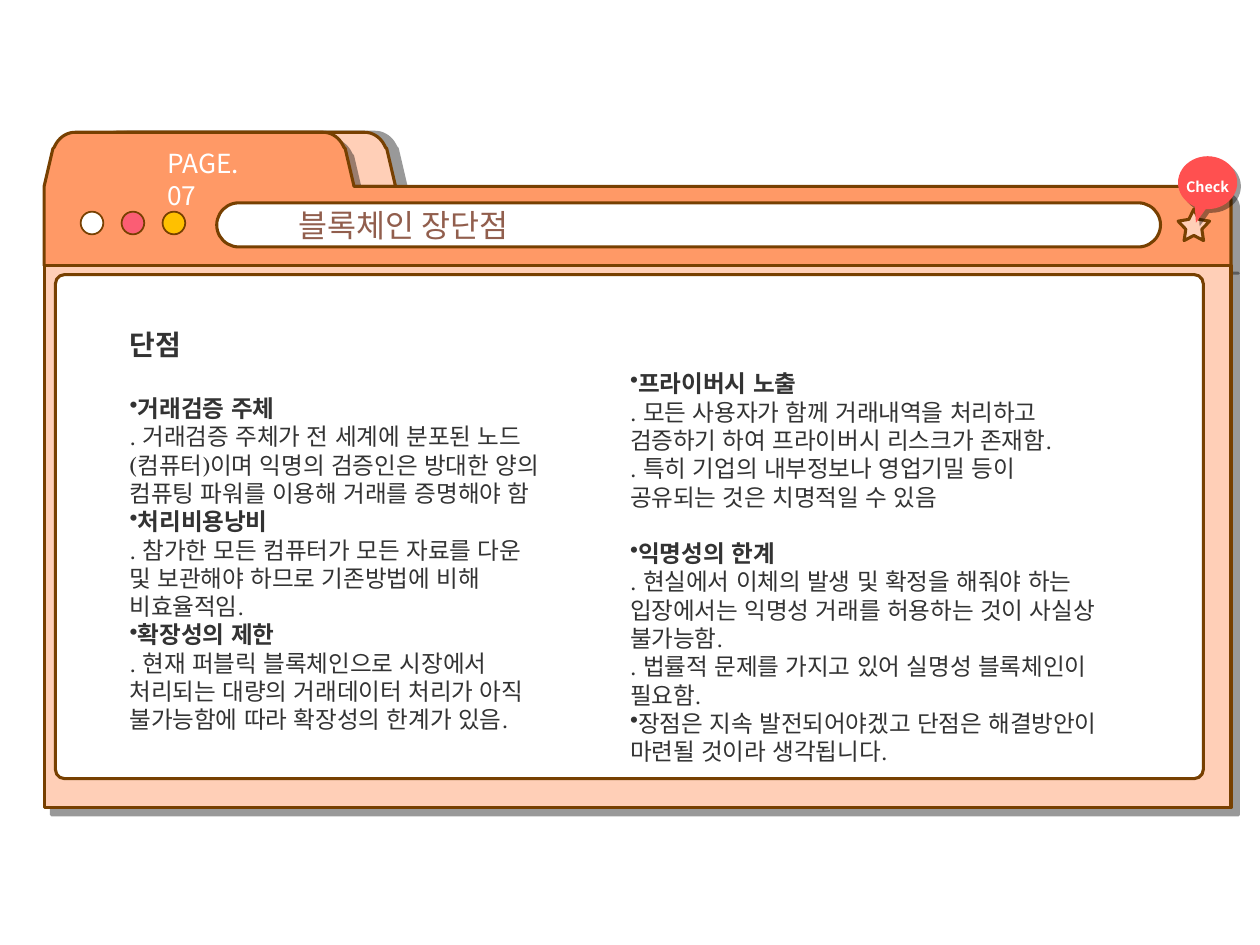
import copy
import pptx
import pptx.dml.color
import pptx.enum.shapes
import pptx.enum.text
import pptx.oxml
import pptx.oxml.ns
import pptx.util

Inches, Pt = pptx.util.Inches, pptx.util.Pt
KIND = pptx.enum.shapes.MSO_SHAPE
ANCHOR = pptx.enum.text.MSO_ANCHOR
ALIGN = pptx.enum.text.PP_ALIGN
FIT = pptx.enum.text.MSO_AUTO_SIZE
qn = pptx.oxml.ns.qn

# Content
TITLE = "블록체인 장단점"
PAGE = "PAGE. 07"
BADGE = "Check"
HEAD = "단점"
# Each point: bold lead, plain lines, space before in points
LEFT = [
    ("거래검증 주체", [". 거래검증 주체가 전 세계에 분포된 노드(컴퓨터)이며 익명의 검증인은 방대한 양의 컴퓨팅 파워를 이용해 거래를 증명해야 함"], 18.7),
    ("처리비용낭비", [". 참가한 모든 컴퓨터가 모든 자료를 다운 및 보관해야 하므로 기존방법에 비해 비효율적임."], 0),
    ("확장성의 제한", [". 현재 퍼블릭 블록체인으로 시장에서 처리되는 대량의 거래데이터 처리가 아직 불가능함에 따라 확장성의 한계가 있음."], 0),
]
RIGHT = [
    ("프라이버시 노출", [". 모든 사용자가 함께 거래내역을 처리하고 검증하기 하여 프라이버시 리스크가 존재함.",
                  ". 특히 기업의 내부정보나 영업기밀 등이 공유되는 것은 치명적일 수 있음"], 0),
    ("익명성의 한계", [". 현실에서 이체의 발생 및 확정을 해줘야 하는 입장에서는 익명성 거래를 허용하는 것이 사실상 불가능함.",
                 ". 법률적 문제를 가지고 있어 실명성 블록체인이 필요함."], 16),
    ("", ["장점은 지속 발전되어야겠고 단점은 해결방안이 마련될 것이라 생각됩니다."], 0),
]
DOTS = ["FFFFFF", "FB5D74", "FFC000"]
SANS, SERIF, LATIN = "Noto Sans CJK KR", "TeX Gyre Schola", "Karla"
BROWN, PEACH, ORANGE, WHITE, INK = "774001", "FFCFB7", "FF9966", "FFFFFF", "333333"

deck = pptx.Presentation()
deck.slide_width, deck.slide_height = Inches(10), Inches(7.5)
slide = deck.slides.add_slide(deck.slide_layouts[6])
shapes = slide.shapes


def rgb(code):
    return pptx.dml.color.RGBColor.from_string(code)


def paint(shape, fill, line=1.75, drop=None):
    """Fill and outline; drop is (distance in points, angle)."""
    shape.shadow.inherit = False
    shape.fill.solid()
    shape.fill.fore_color.rgb = rgb(fill)
    if line:
        shape.line.color.rgb = rgb(BROWN)
        shape.line.width = Pt(line)
    else:
        shape.line.fill.background()
    if drop:
        dist, turn = drop
        glow = shape._element.spPr.find(qn("a:effectLst"))
        glow.append(pptx.oxml.parse_xml(
            f'<a:outerShdw xmlns:a="{pptx.oxml.ns.nsuri("a")}" blurRad="0" '
            f'dist="{Pt(dist)}" dir="{turn * 60000}" algn="tl" rotWithShape="0">'
            '<a:srgbClr val="000000"><a:alpha val="40000"/></a:srgbClr></a:outerShdw>'))
    return shape


def add(kind, box, fill, line=1.75, adj=(), drop=None):
    shape = shapes.add_shape(kind, *map(Inches, box))
    for i, value in enumerate(adj):
        shape.adjustments[i] = value
    return paint(shape, fill, line, drop)


def style(run, size, face, color, bold=False):
    font = run.font
    font.size, font.name, font.bold = Pt(size), face, bold
    font.color.rgb = rgb(color)
    east = pptx.oxml.parse_xml(
        f'<a:ea xmlns:a="{pptx.oxml.ns.nsuri("a")}" typeface="{face}"/>')
    font._element.find(qn("a:latin")).addnext(east)


def label(shape, text, *look):
    frame = shape.text_frame
    frame.text = text
    para = frame.paragraphs[0]
    style(para.runs[0], *look)
    return frame, para


def textbox(box):
    shape = shapes.add_textbox(*map(Inches, box))
    shape.text_frame.word_wrap = True
    return shape


# Folder outlines
def curve(a, b, c, d, steps=10):
    """Points along a cubic curve, ends included."""
    out = []
    for i in range(steps + 1):
        t = i / steps
        w = ((1 - t) ** 3, 3 * t * (1 - t) ** 2, 3 * t * t * (1 - t), t ** 3)
        out.append(tuple(sum(k * p[n] for k, p in zip(w, (a, b, c, d))) for n in (0, 1)))
    return out


def tab(x):
    rise = [(0, 1.48), (0.07, 1.18)]
    rise += curve((0.08, 1.17), (0.11, 1.1), (0.17, 1.05), (0.25, 1.05))
    fall = [(2.46 - px, py) for px, py in reversed(rise)]
    return [(x + px, py) for px, py in rise + fall]


def outline(points, fill, drop):
    spots = [(Inches(x), Inches(y)) for x, y in points]
    pen = shapes.build_freeform(*spots[0])
    pen.add_line_segments(spots[1:], close=True)
    paint(pen.convert_to_shape(), fill, drop=drop)


body = curve((9.67, 1.48), (9.72, 1.48), (9.77, 1.53), (9.77, 1.59))
body += [(9.77, 2.11), (0.35, 2.11)]
outline(tab(0.68), PEACH, (6, 0))
outline(tab(0.35) + body, ORANGE, (6, 45))

# Address bar with title
bar = add(KIND.ROUNDED_RECTANGLE, (1.72, 1.61, 7.49, 0.35), WHITE, adj=[0.5])
frame, para = label(bar, TITLE, 18, SANS, "915E4D")
frame.vertical_anchor = ANCHOR.MIDDLE
para.alignment, para.level = ALIGN.LEFT, 1
props = para._p.get_or_add_pPr()
props.set("marL", str(Inches(0.5)))
props.set("indent", "0")

# Page number, star and window buttons
frame, para = label(textbox((1.23, 1.12, 0.98, 0.35)), PAGE, 15, SANS, WHITE)
add(KIND.STAR_5_POINT, (9.35, 1.66, 0.25, 0.25), PEACH, adj=[0.255])
for i, color in enumerate(DOTS):
    add(KIND.OVAL, (0.64 + 0.325 * i, 1.68, 0.18, 0.18), color, 1)

# Window body
add(KIND.RECTANGLE, (0.35, 2.11, 9.42, 4.3), PEACH, drop=(6, 45))
add(KIND.ROUNDED_RECTANGLE, (0.44, 2.18, 9.11, 4), WHITE, adj=[0.018])

# Badge
badge = add(KIND.OVAL_CALLOUT, (9.35, 1.24, 0.47, 0.42), "FF5050", 0,
            [-0.197, 0.756], (3, 45))
frame, para = label(badge, BADGE, 8.2, SANS, WHITE, True)
frame.word_wrap, frame.vertical_anchor = False, ANCHOR.MIDDLE
para.alignment, para.line_spacing = ALIGN.CENTER, 1.5


def points(frame, items, fresh):
    """Bulleted points; fresh means the first paragraph is still unused."""
    for i, (lead, lines, gap) in enumerate(items):
        para = frame.paragraphs[0] if fresh and i == 0 else frame.add_paragraph()
        para.text = "\v".join(([lead] if lead else []) + lines)
        if gap:
            para.space_before = Pt(gap)
        props = para._p.get_or_add_pPr()
        props.set("marL", "0")
        props.set("indent", "0")
        props.append(pptx.oxml.parse_xml(
            f'<a:buChar xmlns:a="{pptx.oxml.ns.nsuri("a")}" char="•"/>'))
        for j, run in enumerate(para.runs):
            style(run, 13.5, SERIF, INK, bool(lead) and j == 0)
        # Line breaks take the size of the text around them
        for stop in para._p.findall(qn("a:br")):
            stop.append(copy.deepcopy(para.runs[-1].font._element))


# Two text columns
right = textbox((4.93, 2.89, 3.89, 3.2)).text_frame
right.margin_left = right.margin_right = Inches(0.07)
right.margin_top = right.margin_bottom = Inches(0.04)
points(right, RIGHT, True)

left, para = label(textbox((0.93, 2.55, 3.48, 4.27)), HEAD, 16, LATIN, INK, True)
left.auto_size = FIT.SHAPE_TO_FIT_TEXT
points(left, LEFT, False)

deck.save("out.pptx")
